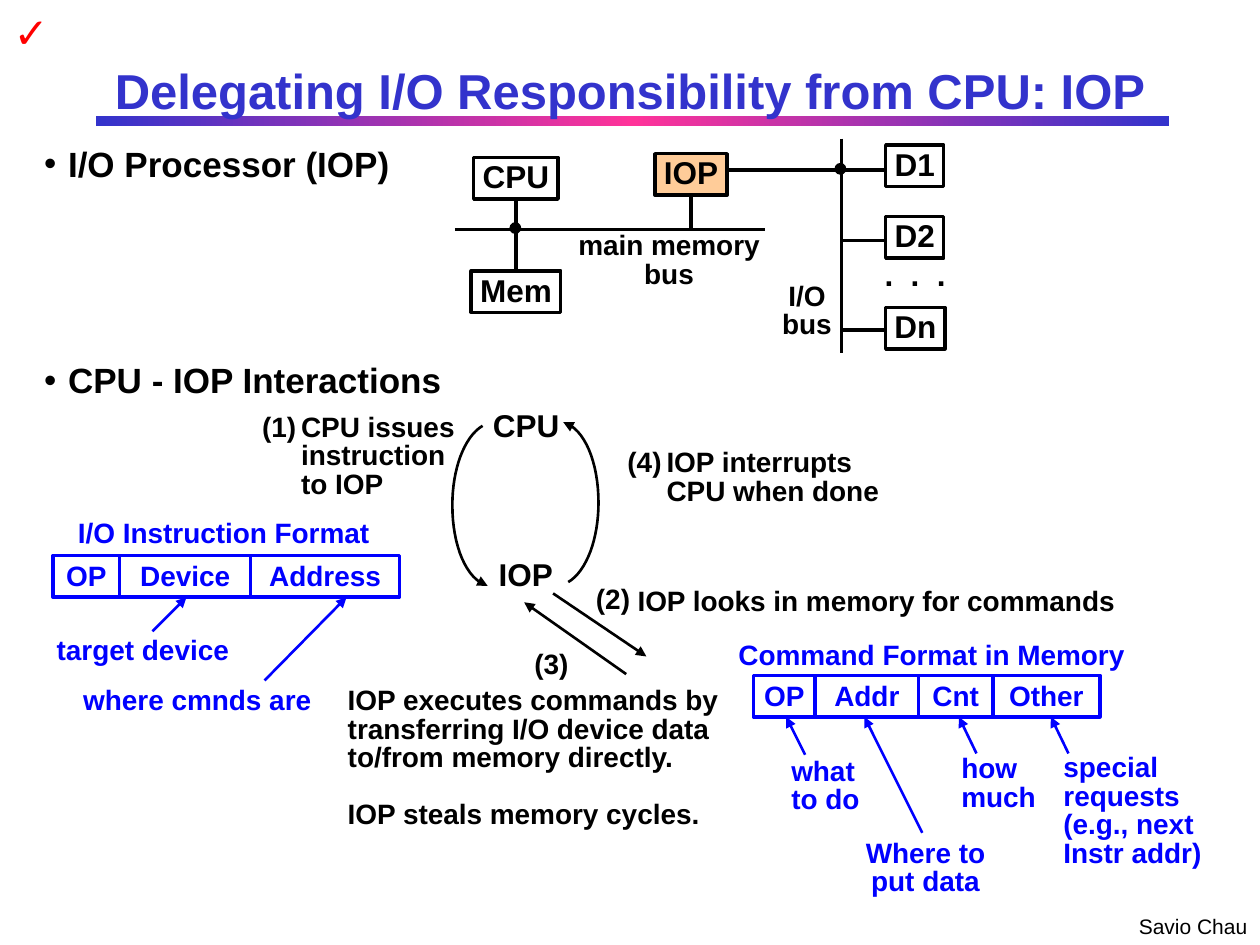
from copy import deepcopy
from dataclasses import dataclass

from lxml.etree import SubElement
from pptx import Presentation
from pptx.dml.color import RGBColor
from pptx.enum.shapes import MSO_CONNECTOR, MSO_SHAPE
from pptx.enum.text import MSO_ANCHOR, MSO_AUTO_SIZE, PP_ALIGN
from pptx.oxml.ns import qn
from pptx.util import Inches, Pt


@dataclass(frozen=True)
class Theme:
    font: str = "Arial"
    black: str = "000000"
    blue: str = "0000FF"
    title: str = "3333CC"
    pink: str = "FF3399"
    orange: str = "FFCC99"
    red: str = "FF0000"
    title_size: int = 28
    tick_size: int = 24
    bullet_size: int = 20
    node_size: int = 18
    label_size: int = 16
    footer_size: int = 12
    thick: float = 2
    thin: float = 1.5
    tight: float = 0.85


theme = Theme()
NO_INSET, SMALL, NORMAL = (0, 0), (0.07, 0.03), (0.1, 0.05)

# Content: lengths in inches
BULLETS = [("I/O Processor (IOP)", 0.28, 1.15, 2.88), ("CPU - IOP Interactions", 0.28, 2.87, 3.29)]
NODE_HEIGHT = 0.33
NODES = {  # name: left, top, width, fill
    "CPU": (3.76, 1.25, 0.67, None),
    "IOP": (5.2, 1.22, 0.57, theme.orange),
    "Mem": (3.74, 2.15, 0.71, None),
    "D1": (7.03, 1.15, 0.46, None),
    "D2": (7.03, 1.72, 0.46, None),
    "Dn": (7.03, 2.44, 0.47, None),
}
MEMORY_BUS_Y, IO_BUS_X = 1.82, 6.68
BUS_LINES = [
    (3.61, MEMORY_BUS_Y, 6.07, MEMORY_BUS_Y),
    (IO_BUS_X, 1.1, IO_BUS_X, 2.8),
    (5.78, 1.35, IO_BUS_X, 1.35),
] + [(IO_BUS_X, y, 7.04, y) for y in (1.35, 1.91, 2.62)]
JUNCTIONS = [(4.09, 1.81), (6.67, 1.34)]

# text, left, top, width, height, wrap, centred, insets
BUS_LABELS = [
    ("main memory\nbus", 4.52, 1.82, 1.58, 0.51, False, True, SMALL),
    ("I/O\nbus", 6.14, 2.22, 0.53, 0.51, False, True, SMALL),
]
BIG_LABELS = [
    (".  .  .", 7.02, 2.07, 0.49, 0.51, True, False, NO_INSET),
    ("CPU", 3.84, 3.24, 0.67, 0.31, False, True, SMALL),
    ("IOP", 3.86, 4.4, 0.63, 0.36, False, False, NORMAL),
]
STEP_LABELS = [
    ("(2)", 4.66, 4.63, 0.41, 0.28, False, False, SMALL),
    ("IOP looks in memory for commands", 5.06, 4.67, 3.95, 0.23, True, False, NO_INSET),
    ("(3)", 4.17, 5.14, 0.41, 0.28, False, False, SMALL),
]
HANGING_STEPS = [
    ("(1)\tCPU issues instruction to IOP", 2.08, 3.29, 1.6, 0.68),
    ("(4)\tIOP interrupts\vCPU when done", 4.98, 3.57, 2.15, 0.45),
]
EXECUTION = ("IOP executes commands by transferring I/O device data to/from memory directly.\n"
             "IOP steals memory cycles.")
NOTES = [
    ("target device", 0.38, 5.03, 1.51, 0.28, False, False, SMALL),
    ("where cmnds are", 0.59, 5.43, 1.95, 0.28, False, False, SMALL),
    ("Command Format in Memory", 5.79, 5.07, 3.21, 0.28, False, False, SMALL),
    ("what\nto do", 6.21, 5.99, 0.68, 0.51, False, False, SMALL),
    ("Where to put data", 6.77, 6.64, 1.15, 0.51, True, True, SMALL),
    ("how\nmuch", 7.56, 5.97, 0.73, 0.51, False, False, SMALL),
    ("special\nrequests (e.g., next Instr addr)", 8.44, 5.99, 1.17, 0.91, True, False, NO_INSET),
]
FORMATS = [  # top, cell edges, cell names
    (4.41, (0.42, 0.95, 1.99, 3.17), ("OP", "Device", "Address")),
    (5.36, (5.98, 6.47, 7.29, 7.88, 8.73), ("OP", "Addr", "Cnt", "Other")),
]
NOTE_ARROWS = [
    (1.21, 5.01, 1.48, 4.74), (2.1, 5.4, 2.75, 4.74), (6.39, 5.99, 6.24, 5.69),
    (7.32, 6.61, 6.86, 5.69), (7.75, 5.98, 7.61, 5.69), (8.48, 5.98, 8.34, 5.69),
]
STEP_ARROWS = [(4.39, 4.71, 5.13, 5.21), (4.97, 5.35, 4.16, 4.78)]
LOOP_CENTER = (4.17, 4.0)
LOOP_CURVES = [  # cubic curves of the left arc
    ((3.83, 3.38), (3.68, 3.47), (3.59, 3.73), (3.59, 4.01)),
    ((3.59, 4.01), (3.59, 4.33), (3.7, 4.6), (3.87, 4.65)),
]

deck = Presentation()
deck.slide_width, deck.slide_height = Inches(10), Inches(7.5)
page = deck.slides.add_slide(deck.slide_layouts[6])


def write(box, text, size, color=theme.black, bold=True, centred=False, wrap=False,
          insets=SMALL, spacing=None, anchor=MSO_ANCHOR.TOP, grow=True):
    frame = box.text_frame
    frame.text = text
    frame.word_wrap = wrap
    frame.auto_size = MSO_AUTO_SIZE.SHAPE_TO_FIT_TEXT if grow else MSO_AUTO_SIZE.NONE
    frame.vertical_anchor = anchor
    # Unwrapped text gets spare room on the side away from its alignment
    frame.margin_left = Inches(0 if centred and not wrap else insets[0])
    frame.margin_right = Inches(insets[0] if wrap else 0)
    frame.margin_top = frame.margin_bottom = Inches(insets[1])
    for para in frame.paragraphs:
        para.alignment = PP_ALIGN.CENTER if centred else PP_ALIGN.LEFT
        para.line_spacing = spacing
        for span in para.runs:
            span.font.name, span.font.size, span.font.bold = theme.font, Pt(size), bold
            span.font.color.rgb = RGBColor.from_string(color)
    return frame


def add_text(text, left, top, width, height, size, **style):
    box = page.shapes.add_textbox(Inches(left), Inches(top), Inches(width), Inches(height))
    return write(box, text, size, **style)


def add_labels(labels, size, color=theme.black):
    for text, left, top, width, height, wrap, centred, insets in labels:
        add_text(text, left, top, width, height, size, color=color, wrap=wrap,
                 centred=centred, insets=insets, spacing=theme.tight)


def hang(para, indent):
    settings = para._p.get_or_add_pPr()
    settings.set("marL", str(Inches(indent)))
    settings.set("indent", str(-Inches(indent)))
    return settings


def add_box(kind, left, top, width, height, fill=None, line=None, weight=theme.thick):
    shape = page.shapes.add_shape(kind, Inches(left), Inches(top), Inches(width), Inches(height))
    shape.shadow.inherit = False
    if fill:
        shape.fill.solid()
        shape.fill.fore_color.rgb = RGBColor.from_string(fill)
    else:
        shape.fill.background()
    if line:
        shape.line.color.rgb = RGBColor.from_string(line)
        shape.line.width = Pt(weight)
    else:
        shape.line.fill.background()
    return shape


def style_line(line, color, weight, arrow):
    line.color.rgb = RGBColor.from_string(color)
    line.width = Pt(weight)
    if arrow:
        SubElement(line._get_or_add_ln(), qn("a:tailEnd"), type="triangle")


def add_line(x1, y1, x2, y2, color=theme.black, weight=theme.thick, arrow=False):
    line = page.shapes.add_connector(MSO_CONNECTOR.STRAIGHT, *map(Inches, (x1, y1, x2, y2)))
    style_line(line.line, color, weight, arrow)
    SubElement(line._element.spPr, qn("a:effectLst"))
    return line


def add_arc(points):
    builder = page.shapes.build_freeform(*map(Inches, points[0]))
    builder.add_line_segments([tuple(map(Inches, point)) for point in points[1:]], close=False)
    arc = builder.convert_to_shape()
    arc.shadow.inherit = False
    arc.fill.background()
    style_line(arc.line, theme.black, theme.thin, True)


def curve_point(curve, t):
    weights = ((1 - t) ** 3, 3 * t * (1 - t) ** 2, 3 * t * t * (1 - t), t ** 3)
    return tuple(sum(w * point[axis] for w, point in zip(weights, curve)) for axis in (0, 1))


# Title, gradient rule, footer and tick
rule = add_box(MSO_SHAPE.RECTANGLE, 0.76, 0.92, 8.52, 0.08)
rule.fill.gradient()
rule.fill.gradient_angle = 0
stop_list = rule._element.spPr.find(qn("a:gradFill")).find(qn("a:gsLst"))
stop_list.append(deepcopy(stop_list[0]))
for stop, position, color in zip(rule.fill.gradient_stops, (0, 0.5, 1),
                                 (theme.title, theme.pink, theme.title)):
    stop.position, stop.color.rgb = position, RGBColor.from_string(color)
add_text("Delegating I/O Responsibility from CPU: IOP", 0.75, 0.42, 8.5, 0.58, theme.title_size,
         color=theme.title, centred=True, wrap=True, insets=NORMAL,
         anchor=MSO_ANCHOR.MIDDLE, grow=False)
add_text("Savio Chau", 8.94, 7.2, 1.06, 0.3, theme.footer_size, bold=False, insets=NORMAL)
add_text("✓", 0.01, 0, 0.47, 0.5, theme.tick_size, color=theme.red, insets=NORMAL)

# Bullets
for text, left, top, width in BULLETS:
    frame = add_text(text, left, top, width, 0.34, theme.bullet_size, spacing=theme.tight)
    settings = hang(frame.paragraphs[0], 0.19)
    SubElement(settings, qn("a:buFont"), typeface=theme.font)
    SubElement(settings, qn("a:buChar"), char="•")

# Bus diagram
nodes = {}
for name, (left, top, width, fill) in NODES.items():
    nodes[name] = add_box(MSO_SHAPE.RECTANGLE, left, top, width, NODE_HEIGHT, fill, theme.black)
    write(nodes[name], name, theme.node_size, centred=True, spacing=0.92, anchor=MSO_ANCHOR.MIDDLE)
for ends in BUS_LINES:
    add_line(*ends)
memory_link = add_line(4.1, 1.58, 4.1, 2.15)
memory_link.begin_connect(nodes["CPU"], 2)
memory_link.end_connect(nodes["Mem"], 0)
iop_left, iop_top, iop_width, _ = NODES["IOP"]
iop_middle = iop_left + iop_width / 2
iop_link = add_line(iop_middle, iop_top + NODE_HEIGHT, iop_middle, MEMORY_BUS_Y)
iop_link.begin_connect(nodes["IOP"], 2)
for x, y in JUNCTIONS:
    add_box(MSO_SHAPE.OVAL, x - 0.04, y - 0.04, 0.08, 0.08, theme.black, theme.black, 1)
add_labels(BUS_LABELS, theme.label_size)
add_labels(BIG_LABELS, theme.node_size)

# Interaction loop: the right arc is the left one turned by half a turn
left_arc = [curve_point(curve, step / 16) for curve in LOOP_CURVES for step in range(17)]
add_arc(left_arc)
add_arc([(2 * LOOP_CENTER[0] - x, 2 * LOOP_CENTER[1] - y) for x, y in left_arc])
for ends in STEP_ARROWS:
    add_line(*ends, weight=theme.thin, arrow=True)
add_labels(STEP_LABELS, theme.label_size)
for text, *place in HANGING_STEPS:
    frame = add_text(text, *place, theme.label_size, wrap=True, insets=NO_INSET,
                     spacing=theme.tight)
    hang(frame.paragraphs[0], 0.31)
execution = add_text(EXECUTION, 2.69, 5.43, 3.13, 1.19, theme.label_size, wrap=True,
                     spacing=theme.tight)
execution.paragraphs[1].space_before = Pt(16)

# Instruction and command formats
for top, edges, names in FORMATS:
    add_box(MSO_SHAPE.RECTANGLE, edges[0], top, edges[-1] - edges[0], NODE_HEIGHT, line=theme.blue)
    for x in edges[1:-1]:
        add_line(x, top + 0.01, x, top + 0.32, theme.blue)
    for name, left, right in zip(names, edges, edges[1:]):
        add_text(name, left, top + 0.02, right - left, 0.27, theme.label_size, color=theme.blue,
                 centred=True, wrap=True, insets=NO_INSET, anchor=MSO_ANCHOR.MIDDLE)
add_text("I/O Instruction Format", 0.52, 4.04, 2.51, 0.37, theme.label_size, color=theme.blue,
         insets=NORMAL)
add_labels(NOTES, theme.label_size, theme.blue)
for ends in NOTE_ARROWS:
    add_line(*ends, color=theme.blue, weight=theme.thin, arrow=True)

deck.save("out.pptx")
